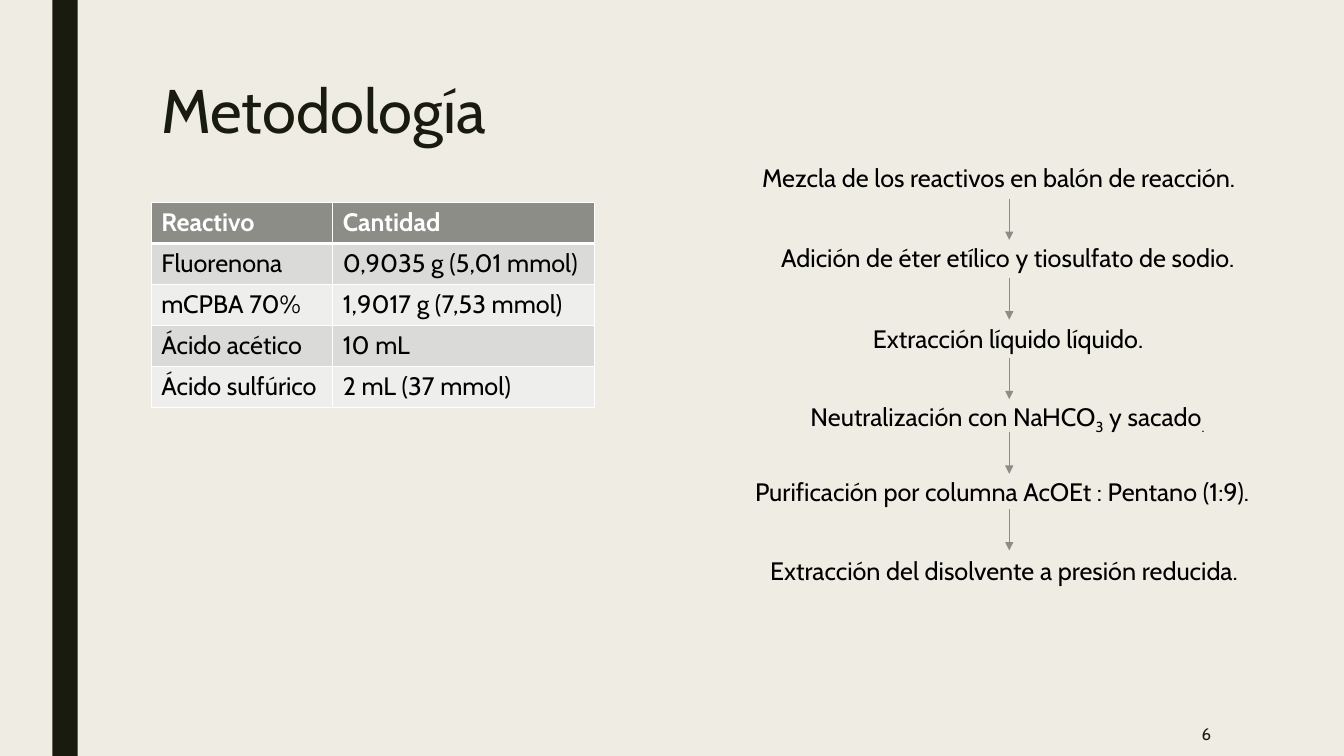
from collections import namedtuple

from lxml.etree import SubElement
from pptx import Presentation
from pptx.dml.color import RGBColor
from pptx.enum.shapes import MSO_CONNECTOR, MSO_SHAPE
from pptx.enum.text import MSO_ANCHOR as Anchor, MSO_AUTO_SIZE as AutoSize, PP_ALIGN as Align
from pptx.oxml import parse_xml
from pptx.oxml.ns import nsdecls, qn
from pptx.util import Pt

EMU_PER_PX = 9144  # 100 px to the inch
Box = namedtuple("Box", "left top width height")
Step = namedtuple("Step", "top width runs")


class Theme:
    font = "Cabin"
    background, ink, black, white = "EFEDE3", "191B0E", "000000", "FFFFFF"
    grey, band_dark, band_light = "8C8D86", "DADBD9", "EEEEED"
    title_size, body_size, number_size = 44, 18, 12
    cell_line, header_line, arrow_line = 1, 3, 0.5


REAGENTS = [
    ("Reactivo", "Cantidad"),
    ("Fluorenona", "0,9035 g (5,01 mmol)"),
    ("mCPBA 70%", "1,9017 g (7,53 mmol)"),
    ("Ácido acético", "10 mL"),
    ("Ácido sulfúrico", "2 mL (37 mmol)"),
]
COLUMN_WIDTHS = (180, 260)

# Each run is a text and whether it is a subscript
STEPS = [
    Step(0, 511, [("Mezcla de los reactivos en balón de reacción.", False)]),
    Step(79, 473, [("Adición de éter etílico y tiosulfato de sodio.", False)]),
    Step(160, 291, [("Extracción líquido líquido.", False)]),
    Step(237, 415, [("Neutralización con NaHCO", False), ("3", True),
                    (" y sacado", False), (".", True)]),
    Step(312, 524, [("Purificación por columna AcOEt : Pentano (1:9).", False)]),
    Step(390, 495, [("Extracción del disolvente a presión reducida.", False)]),
]
STEP_HEIGHT = 40
ARROW_TOPS = (41, 120, 199, 273, 349)
ARROW_LENGTH = 41


def px(length):
    return round(length * EMU_PER_PX)


def place(box):
    return [px(length) for length in box]


def color(value):
    return RGBColor.from_string(value)


def add_run(para, text, size, ink, bold=False, subscript=False):
    span = para.add_run()
    span.text = text
    span.font.name = Theme.font
    span.font.size = Pt(size)
    span.font.bold = bold
    span.font.color.rgb = color(ink)
    if subscript:
        span.font._element.set("baseline", "-25000")


def add_text_frame(page, box, wrap=True):
    frame = page.shapes.add_textbox(*place(box)).text_frame
    frame.word_wrap = wrap
    return frame


def add_side_bar(page, box):
    bar = page.shapes.add_shape(MSO_SHAPE.RECTANGLE, *place(box))
    bar.shadow.inherit = False
    bar.fill.solid()
    bar.fill.fore_color.rgb = color(Theme.ink)
    bar.line.fill.background()


def add_title(page, box):
    para = add_text_frame(page, box).paragraphs[0]
    para.line_spacing = 0.89
    add_run(para, "Metodología", Theme.title_size, Theme.ink)


def set_borders(cell, widths):
    properties = cell._tc.get_or_add_tcPr()
    for index, (side, width) in enumerate(widths.items()):
        properties.insert(index, parse_xml(
            f'<a:ln{side} {nsdecls("a")} w="{Pt(width)}"><a:solidFill>'
            f'<a:srgbClr val="{Theme.white}"/></a:solidFill></a:ln{side}>'))


def add_reagent_table(page, box):
    table = page.shapes.add_table(len(REAGENTS), len(COLUMN_WIDTHS), *place(box)).table
    table.horz_banding = False
    for column, width in zip(table.columns, COLUMN_WIDTHS):
        column.width = px(width)
    for row_index, texts in enumerate(REAGENTS):
        table.rows[row_index].height = px(box.height / len(REAGENTS))
        header = row_index == 0
        band = Theme.band_dark if row_index % 2 else Theme.band_light
        top = Theme.header_line if row_index == 1 else Theme.cell_line
        bottom = Theme.header_line if header else Theme.cell_line
        for column_index, text in enumerate(texts):
            cell = table.cell(row_index, column_index)
            cell.fill.solid()
            cell.fill.fore_color.rgb = color(Theme.grey if header else band)
            set_borders(cell, {"L": Theme.cell_line, "R": Theme.cell_line,
                               "T": top, "B": bottom})
            add_run(cell.text_frame.paragraphs[0], text, Theme.body_size,
                    Theme.white if header else Theme.black, bold=header)


def add_arrow(page, x, top):
    arrow = page.shapes.add_connector(
        MSO_CONNECTOR.STRAIGHT, px(x), px(top), px(x), px(top + ARROW_LENGTH))
    arrow.line.color.rgb = color(Theme.grey)
    arrow.line.width = Pt(Theme.arrow_line)
    SubElement(arrow.line._get_or_add_ln(), qn("a:tailEnd"), type="triangle")
    SubElement(arrow._element.spPr, qn("a:effectLst"))


def add_procedure(page, box):
    axis = box.left + box.width // 2
    # Steps, each box centred on the axis
    for step in STEPS:
        step_box = Box(axis - step.width // 2, box.top + step.top, step.width, STEP_HEIGHT)
        frame = add_text_frame(page, step_box, wrap=False)
        frame.auto_size = AutoSize.SHAPE_TO_FIT_TEXT
        for text, subscript in step.runs:
            add_run(frame.paragraphs[0], text, Theme.body_size, Theme.black,
                    subscript=subscript)
    # Arrows between steps
    for top in ARROW_TOPS:
        add_arrow(page, axis, box.top + top)


def add_page_number(page, box):
    frame = add_text_frame(page, box)
    frame.vertical_anchor = Anchor.MIDDLE
    frame.paragraphs[0].alignment = Align.RIGHT
    add_run(frame.paragraphs[0], "6", Theme.number_size, Theme.ink)


def main():
    deck = Presentation()
    deck.slide_width, deck.slide_height = px(1333), px(750)
    page = deck.slides.add_slide(deck.slide_layouts[6])
    page.background.fill.solid()
    page.background.fill.fore_color.rgb = color(Theme.background)

    add_side_bar(page, Box(52, 0, 25, 750))
    add_title(page, Box(150, 75, 1050, 162))
    add_reagent_table(page, Box(150, 201, sum(COLUMN_WIDTHS), 203))
    add_procedure(page, Box(739, 156, 524, 430))
    add_page_number(page, Box(1036, 706, 175, 44))
    deck.save("out.pptx")


if __name__ == "__main__":
    main()
